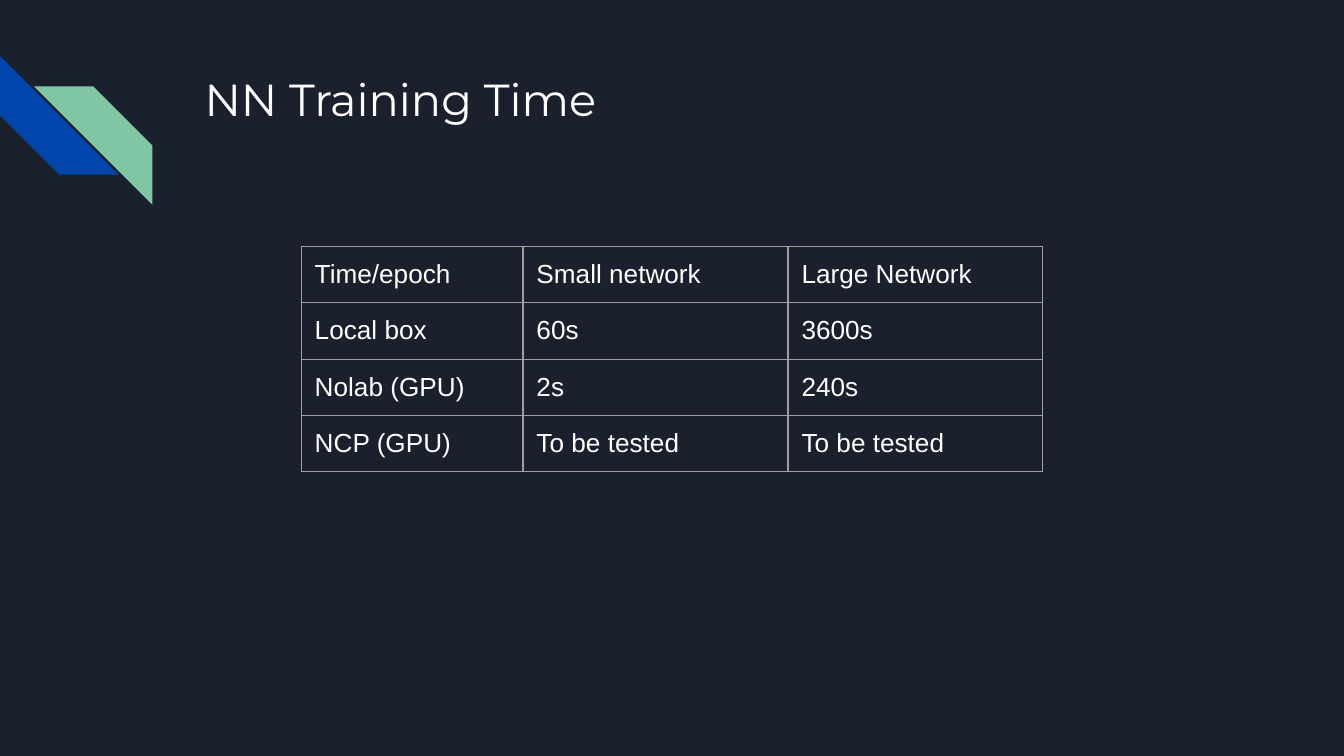
from lxml.etree import SubElement
from pptx import Presentation
from pptx.dml.color import RGBColor
from pptx.enum.shapes import MSO_SHAPE as Preset
from pptx.enum.text import MSO_ANCHOR as Anchor, PP_ALIGN as Align
from pptx.oxml.ns import qn
from pptx.util import Pt

ROWS = [
    ("Time/epoch", "Small network", "Large Network"),
    ("Local box", "60s", "3600s"),
    ("Nolab (GPU)", "2s", "240s"),
    ("NCP (GPU)", "To be tested", "To be tested"),
]
COLUMN_WIDTHS = (118.8, 142, 136.2)
ROW_HEIGHT = 30.2


def rgb(value):
    """Turn a hex string into a colour."""
    return RGBColor.from_string(value)


def apply(target, values):
    """Set every attribute named in a dict."""
    for name, value in values.items():
        setattr(target, name, value)


class SlideBuilder:
    """Hold the style and the slide being built."""

    background, text, border = "1B212C", "FFFFFF", "9E9E9E"
    title_font = {"name": "Montserrat", "size": Pt(24), "bold": False}
    table_font = {"name": "Arial", "size": Pt(14), "bold": False}
    margins = {f"margin_{side}": Pt(7.2) for side in ("left", "top", "right", "bottom")}

    def __init__(self, presentation):
        """Add a title-only slide with a dark background."""
        self.slide = presentation.slides.add_slide(presentation.slide_layouts[5])
        fill = self.slide.background.fill
        fill.solid()
        fill.fore_color.rgb = rgb(self.background)

    def set_text(self, frame, text, font):
        """Fill a text frame with one left-aligned paragraph."""
        frame.text = text
        paragraph = frame.paragraphs[0]
        paragraph.alignment = Align.LEFT
        run_font = paragraph.runs[0].font
        apply(run_font, font)
        run_font.color.rgb = rgb(self.text)

    def title(self, text, left, top, width, height):
        """Place and fill the title placeholder."""
        title = self.slide.shapes.title
        apply(title, {"left": Pt(left), "top": Pt(top), "width": Pt(width), "height": Pt(height)})
        apply(title.text_frame, {**self.margins, "vertical_anchor": Anchor.TOP, "word_wrap": True})
        self.set_text(title.text_frame, text, self.title_font)

    def stripe(self, left, top, size, rotation, color):
        """Add a square diagonal stripe."""
        shape = self.slide.shapes.add_shape(Preset.DIAGONAL_STRIPE, Pt(left), Pt(top), Pt(size), Pt(size))
        shape.rotation = rotation
        shape.adjustments[0] = 0.5
        shape.shadow.inherit = False
        shape.fill.solid()
        shape.fill.fore_color.rgb = rgb(color)
        shape.line.fill.background()

    def outline(self, cell):
        """Draw thin borders on all four sides of a cell."""
        properties = cell._tc.get_or_add_tcPr()
        for side in ("a:lnL", "a:lnR", "a:lnT", "a:lnB"):
            line = SubElement(properties, qn(side), w=str(Pt(0.75)))
            fill = SubElement(line, qn("a:solidFill"))
            SubElement(fill, qn("a:srgbClr"), val=self.border)

    def table(self, rows, left, top, widths, row_height):
        """Add an unfilled table with bordered cells."""
        frame = self.slide.shapes.add_table(
            len(rows), len(widths), Pt(left), Pt(top), Pt(sum(widths)), Pt(row_height * len(rows)))
        table = frame.table
        apply(table, {"first_row": False, "horz_banding": False})
        for column, width in zip(table.columns, widths):
            column.width = Pt(width)
        for row, texts in zip(table.rows, rows):
            row.height = Pt(row_height)
            for cell, text in zip(row.cells, texts):
                apply(cell, self.margins)
                self.set_text(cell.text_frame, text, self.table_font)
                self.outline(cell)
                cell.fill.background()


def main():
    """Build and save the presentation."""
    presentation = Presentation()
    apply(presentation, {"slide_width": Pt(720), "slide_height": Pt(405)})
    builder = SlideBuilder(presentation)
    builder.stripe(0, 30, 63.5, 270, "0145AC")
    builder.stripe(18.2, 46.3, 63.5, 90, "82C7A5")
    builder.title("NN Training Time", 102.4, 31, 554.4, 72)
    builder.table(ROWS, 161.4, 132, COLUMN_WIDTHS, ROW_HEIGHT)
    presentation.save("out.pptx")


if __name__ == "__main__":
    main()
